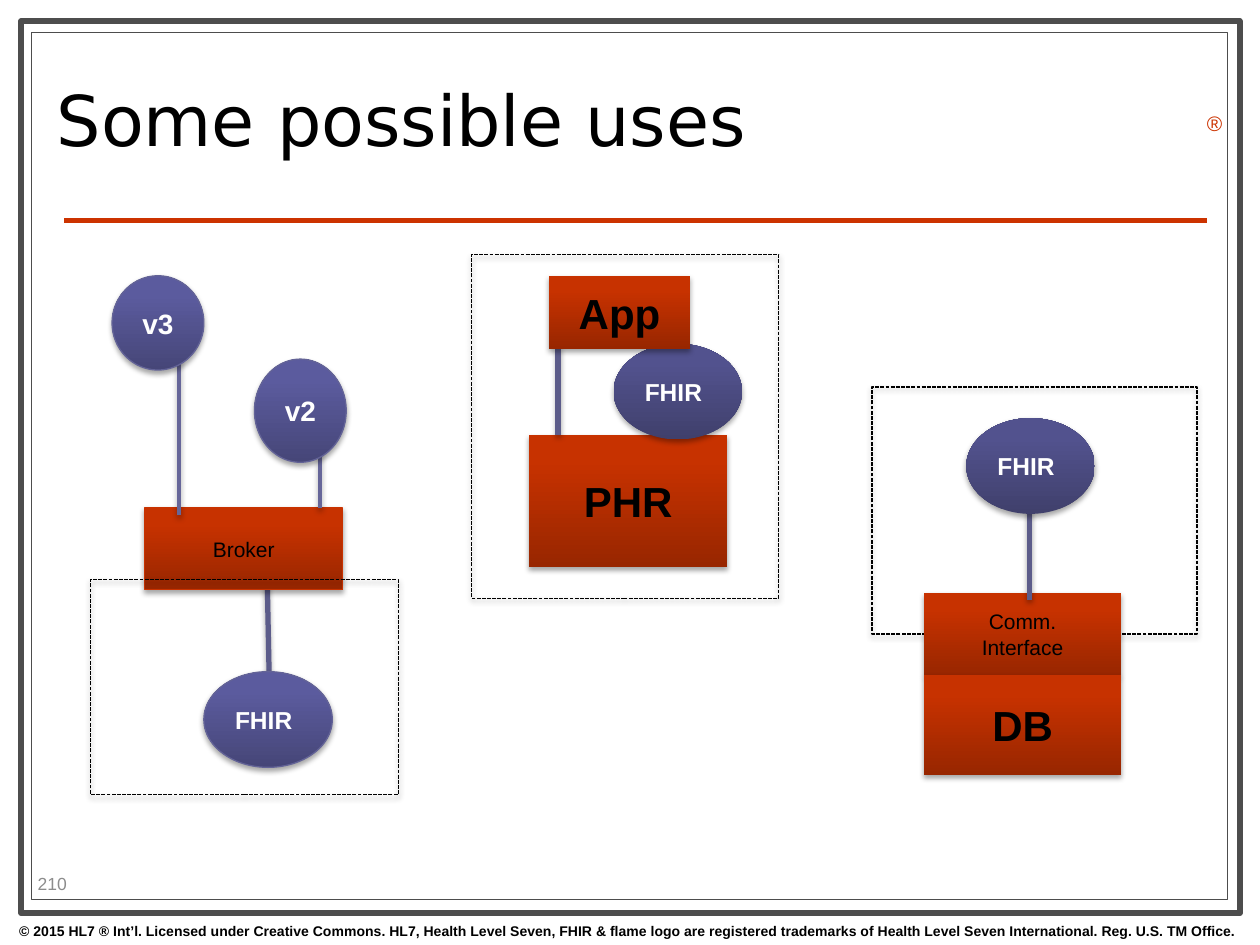
from dataclasses import dataclass
from typing import Optional

from lxml.etree import SubElement
from pptx import Presentation
from pptx.dml.color import RGBColor
from pptx.enum.dml import MSO_LINE_DASH_STYLE as Dash
from pptx.enum.shapes import MSO_CONNECTOR as Connector, MSO_SHAPE as Preset
from pptx.enum.text import MSO_ANCHOR as Anchor, PP_ALIGN as Align
from pptx.oxml.ns import qn
from pptx.util import Cm, Pt

COLORS = {
    "white": "FFFFFF", "black": "000000", "frame": "4D4D4D", "accent": "CC3300",
    "number": "8C8C8C", "link": "5C5C8A", "thin link": "666699",
    "red dark": "982600", "red": "C73200", "red edge": "C83200",
    "violet dark": "464678", "violet": "5B5B9E", "violet edge": "636397",
    "indigo dark": "40406C", "indigo": "52528E",
}


@dataclass
class Node:
    lines: list[str]
    left: float
    top: float
    width: float
    height: float
    size: float
    bold: bool = True
    fill: str = "red"
    edge: Optional[str] = None
    preset: Preset = Preset.RECTANGLE
    align: Align = Align.CENTER


@dataclass
class Link:
    start: tuple[float, float]
    end: tuple[float, float]
    color: str = "link"
    width: float = 3


@dataclass
class Boundary:
    left: float
    top: float
    width: float
    height: float


def rgb(name: str) -> RGBColor:
    return RGBColor.from_string(COLORS[name])


def add_run(paragraph, text: str, size: float, color: str, bold=False, font="Arial") -> None:
    run = paragraph.add_run()
    run.text = text
    run.font.name = font
    run.font.size = Pt(size)
    run.font.bold = bold
    run.font.color.rgb = rgb(color)


def add_shadow(shape, distance: float, opacity: int) -> None:
    properties = shape.element.spPr
    effects = properties.find(qn("a:effectLst"))
    if effects is None:
        effects = SubElement(properties, qn("a:effectLst"))
    outer = SubElement(effects, qn("a:outerShdw"), blurRad=str(Pt(3.1)),
                       dist=str(Pt(distance)), dir="5400000", rotWithShape="0")
    color = SubElement(outer, qn("a:srgbClr"), val=COLORS["black"])
    SubElement(color, qn("a:alpha"), val=str(opacity * 1000))


def add_preset(slide, preset: Preset, left, top, width, height):
    shape = slide.shapes.add_shape(preset, Cm(left), Cm(top), Cm(width), Cm(height))
    shape.shadow.inherit = False
    return shape


def add_frame(slide, left, top, width, height, line_width: float) -> None:
    shape = add_preset(slide, Preset.RECTANGLE, left, top, width, height)
    shape.fill.solid()
    shape.fill.fore_color.rgb = rgb("white")
    shape.line.color.rgb = rgb("frame")
    shape.line.width = Pt(line_width)


def add_line(slide, link: Link):
    points = [Cm(value) for value in (*link.start, *link.end)]
    line = slide.shapes.add_connector(Connector.STRAIGHT, *points)
    line.line.color.rgb = rgb(link.color)
    line.line.width = Pt(link.width)
    SubElement(line.element.spPr, qn("a:effectLst"))
    return line


def add_label(slide, text, left, top, width, height, size, color,
              bold=False, align=Align.LEFT, anchor=Anchor.TOP) -> None:
    box = slide.shapes.add_textbox(Cm(left), Cm(top), Cm(width), Cm(height))
    frame = box.text_frame
    frame.word_wrap = True
    frame.vertical_anchor = anchor
    frame.paragraphs[0].alignment = align
    add_run(frame.paragraphs[0], text, size, color, bold)


def add_node(slide, node: Node) -> None:
    shape = add_preset(slide, node.preset, node.left, node.top, node.width, node.height)
    # Dark at the bottom, plain colour from 80 % upwards
    shape.fill.gradient()
    shape.fill.gradient_angle = 90
    dark, plain = shape.fill.gradient_stops
    dark.position, plain.position = 0, 0.8
    dark.color.rgb = rgb(f"{node.fill} dark")
    plain.color.rgb = rgb(node.fill)
    if node.edge:
        shape.line.color.rgb = rgb(node.edge)
        shape.line.width = Pt(0.75)
    else:
        shape.line.fill.background()
    add_shadow(shape, 1.8, 35)
    frame = shape.text_frame
    frame.word_wrap = True
    frame.vertical_anchor = Anchor.MIDDLE
    text_color = "black" if node.fill == "red" else "white"
    for index, text in enumerate(node.lines):
        paragraph = frame.add_paragraph() if index else frame.paragraphs[0]
        paragraph.alignment = node.align
        add_run(paragraph, text, node.size, text_color, node.bold)


def add_boundary(slide, area: Boundary) -> None:
    shape = add_preset(slide, Preset.RECTANGLE, area.left, area.top, area.width, area.height)
    shape.fill.background()
    shape.line.color.rgb = rgb("black")
    shape.line.width = Pt(0.75)
    shape.line.dash_style = Dash.SQUARE_DOT
    add_shadow(shape, 1.6, 38)


def fhir(left: float, top: float, fill="indigo", edge=None) -> Node:
    return Node(["FHIR"], left, top, 2.59, 1.93, 14, True, fill, edge, Preset.OVAL, Align.LEFT)


def version(name: str, left: float, top: float, height: float) -> Node:
    return Node([name], left, top, 1.85, height, 16, True, "violet", "violet edge", Preset.OVAL)


# Back to front
DIAGRAM = [
    # Broker between message versions and FHIR
    Link((5.44, 14.33), (5.38, 11.35)),
    fhir(4.11, 13.54, "violet", "violet edge"),
    Node(["Broker"], 2.92, 10.24, 3.99, 1.65, 12, False, edge="red edge"),
    Link((3.61, 10.39), (3.61, 6.73), "thin link", 2),
    version("v3", 2.26, 5.56, 1.9),
    Boundary(1.83, 11.68, 6.2, 4.34),
    Link((6.45, 10.24), (6.45, 8.51), "thin link", 2),
    version("v2", 5.13, 7.24, 2.08),
    # App on a health record
    Node(["PHR"], 10.67, 8.76, 3.99, 2.67, 24),
    Link((11.25, 8.76), (11.25, 6.96)),
    Boundary(9.5, 5.13, 6.2, 6.93),
    fhir(12.37, 6.93),
    Node(["App"], 11.07, 5.56, 2.84, 1.47, 24),
    # Database behind an interface
    Boundary(17.58, 7.8, 6.55, 4.98),
    Node(["Comm.", "Interface"], 18.62, 11.96, 3.99, 1.65, 12, False),
    Node(["DB"], 18.62, 13.61, 3.99, 2.01, 24),
    Link((20.75, 12.09), (20.75, 10.06)),
    fhir(19.48, 8.43),
]


def add_title(slide, text: str) -> None:
    title = slide.shapes.title
    title.left, title.top, title.width, title.height = Cm(0.89), Cm(0.91), Cm(18.21), Cm(3.28)
    # Bring the title in front of the page frames
    title.element.getparent().append(title.element)
    title.text_frame.vertical_anchor = Anchor.MIDDLE
    paragraph = title.text_frame.paragraphs[0]
    paragraph.alignment = Align.LEFT
    paragraph.line_spacing = 0.8
    add_run(paragraph, text, 40, "black", font="DejaVu Sans")


def main() -> None:
    presentation = Presentation()
    presentation.slide_width, presentation.slide_height = Cm(25.4), Cm(19.05)
    slide = presentation.slides.add_slide(presentation.slide_layouts[5])

    # Page frame, rule and small print
    add_frame(slide, 0.43, 0.43, 24.56, 17.98, 3.5)
    add_frame(slide, 0.64, 0.66, 24.1, 17.48, 0.75)
    add_line(slide, Link((1.3, 4.45), (24.33, 4.45), "accent"))
    add_label(slide, "© 2015 HL7 ® Int’l. Licensed under Creative Commons. HL7, Health Level Seven, "
              "FHIR & flame logo are registered trademarks of Health Level Seven International. "
              "Reg. U.S. TM Office.", -0.03, 18.47, 25.4, 0.58, 8, "black", True, Align.CENTER)
    add_label(slide, "®", 24.08, 2.11, 0.79, 0.76, 12, "accent")
    add_title(slide, "Some possible uses")
    add_label(slide, "210", 0.51, 17.5, 2.01, 0.61, 10, "number", anchor=Anchor.MIDDLE)

    # Diagram
    for part in DIAGRAM:
        if isinstance(part, Node):
            add_node(slide, part)
        elif isinstance(part, Boundary):
            add_boundary(slide, part)
        else:
            add_shadow(add_line(slide, part), 1.8, 35)

    presentation.save("out.pptx")


if __name__ == "__main__":
    main()
